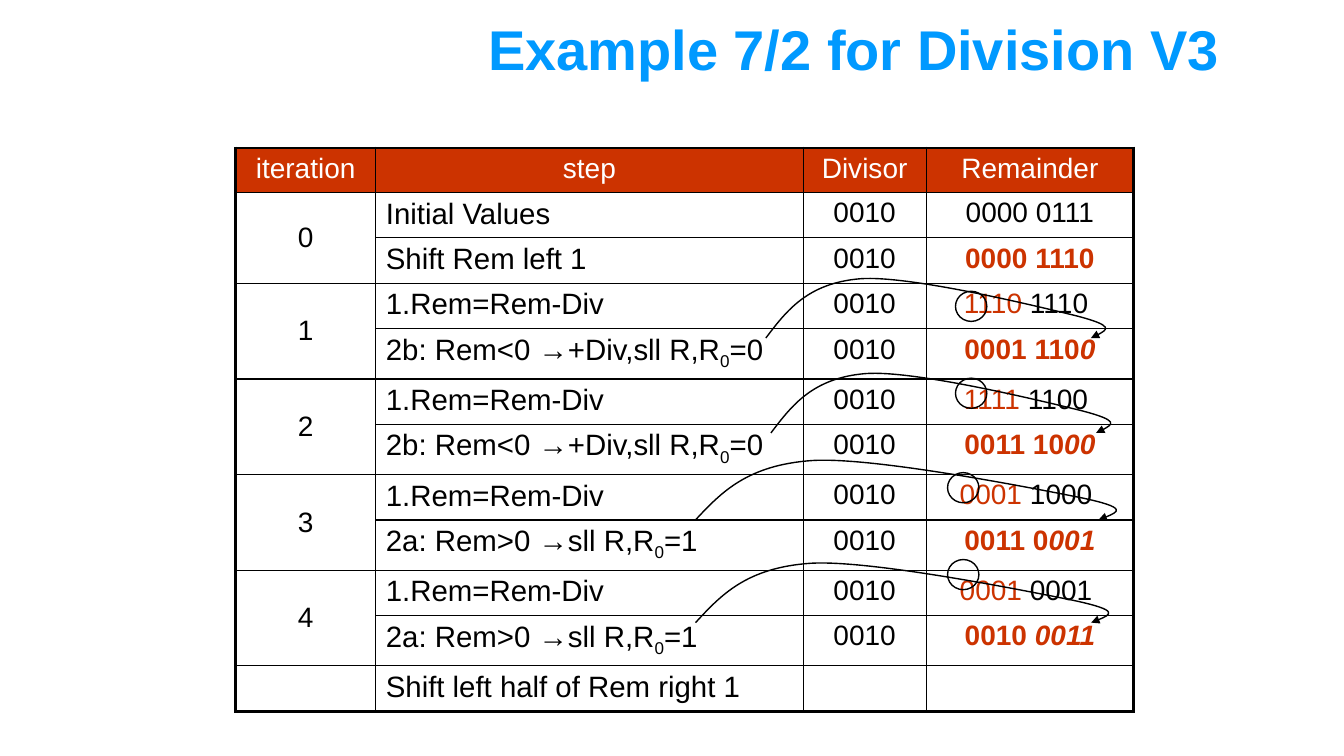
from lxml import etree
from pptx import Presentation
from pptx.dml.color import RGBColor
from pptx.enum.shapes import MSO_SHAPE
from pptx.enum.text import MSO_ANCHOR, PP_ALIGN
from pptx.oxml.ns import qn
from pptx.util import Cm, Pt

CENTER, LEFT = PP_ALIGN.CENTER, PP_ALIGN.LEFT
MIDDLE, TOP = MSO_ANCHOR.MIDDLE, MSO_ANCHOR.TOP
OVAL = MSO_SHAPE.OVAL

BLUE, RED, BLACK, WHITE = "0099FF", "CC3300", "000000", "FFFFFF"
PLAIN = {"color": BLACK}
LIGHT = {"color": WHITE}
CHANGED = {"color": RED}
RESULT = {"color": RED, "bold": True}
QUOTIENT = {"color": RED, "bold": True, "italic": True}
STEP = {"color": BLACK, "size": 21}
SUBSCRIPT = {**STEP, "baseline": -25000}

HEADINGS = ["iteration", "step", "Divisor", "Remainder"]
COLUMN_WIDTHS = [3.53, 10.77, 3.1, 5.23]
ROW_HEIGHTS = [1.12, 1.09, 1.07] + [1.12, 1.2] * 4 + [1.12]
DIVISOR = "0010"
RESTORE = ("2b: Rem<0 →+Div,sll R,R", "=0")
KEEP = ("2a: Rem>0 →sll R,R", "=1")
ITERATIONS = [
    (("1110", " 1110 "), RESTORE, ("0001 110", "0")),
    (("1111", " 1100 "), RESTORE, ("0011 10", "00")),
    (("0001 ", "1000 "), KEEP, ("0011 0", "001")),
    (("0001", " 0001 "), KEEP, ("0010 ", "0011")),
]
SIGN_BITS = [(24.08, 7.34), (24.08, 9.53), (23.88, 11.91), (23.88, 14.1)]
SHIFT_ARROWS = [(19.3, 6.93, 8.81), (19.43, 9.32, 8.81),
                (17.53, 11.51, 10.92), (17.53, 14.1, 10.72)]
ARROW_HEIGHT = 1.59
ARROW_CURVE = [(0, 1), (0.06, 0.56), (0.12, 0.13), (0.27, 0.06), (0.41, 0),
               (0.78, 0.5), (0.89, 0.65), (1, 0.81), (0.97, 0.9), (0.93, 1)]


def rgb(color):
    return RGBColor.from_string(color)


class SlideBuilder:
    font = "Arial"
    thin, thick = 1, 2.25

    def __init__(self, slide):
        self.slide = slide

    def add_runs(self, frame, runs, align=CENTER):
        paragraph = frame.paragraphs[0]
        paragraph.alignment = align
        for text, style in runs:
            run = paragraph.add_run()
            run.text = text
            run.font.name = self.font
            run.font.size = Pt(style.get("size", 20))
            run.font.bold = style.get("bold", False)
            run.font.italic = style.get("italic", False)
            run.font.color.rgb = rgb(style["color"])
            if "baseline" in style:
                run.font._element.set("baseline", str(style["baseline"]))

    def title(self, text, left, top, width, height):
        box = self.slide.shapes.add_textbox(Cm(left), Cm(top), Cm(width), Cm(height))
        box.text_frame.word_wrap = True
        box.text_frame.vertical_anchor = TOP
        self.add_runs(box.text_frame, [(text, {"color": BLUE, "size": 40, "bold": True})])

    def borders(self, cell, outer_sides):
        properties = cell._tc.get_or_add_tcPr()
        for side in "LRTB":
            width = self.thick if side in outer_sides else self.thin
            line = etree.SubElement(properties, qn(f"a:ln{side}"), w=str(Pt(width)))
            fill = etree.SubElement(line, qn("a:solidFill"))
            etree.SubElement(fill, qn("a:srgbClr"), val=BLACK)

    def table(self, rows, left, top, widths, heights):
        table = self.slide.shapes.add_table(
            len(heights), len(widths), Cm(left), Cm(top),
            Cm(sum(widths)), Cm(sum(heights))).table
        table.first_row = table.horz_banding = False
        for column, width in zip(table.columns, widths):
            column.width = Cm(width)
        for row, height in zip(table.rows, heights):
            row.height = Cm(height)
        last_row, last_column = len(heights) - 1, len(widths) - 1
        for r, row in enumerate(rows):
            for c, runs in enumerate(row):
                cell = table.cell(r, c)
                edges = {"L": c == 0, "R": c == last_column, "T": r == 0, "B": r == last_row}
                self.borders(cell, [side for side in edges if edges[side]])
                cell.fill.solid()
                cell.fill.fore_color.rgb = rgb(WHITE if r else RED)
                self.add_runs(cell.text_frame, runs, LEFT if r and c == 1 else CENTER)
        for r in range(1, last_row, 2):
            table.cell(r, 0).merge(table.cell(r + 1, 0))
            table.cell(r, 0).vertical_anchor = MIDDLE

    def outline(self, shape):
        shape.shadow.inherit = False
        shape.fill.background()
        shape.line.color.rgb = rgb(BLACK)
        shape.line.width = Pt(self.thin)

    def circle(self, left, top, width=0.79, height=0.76):
        self.outline(self.slide.shapes.add_shape(
            OVAL, Cm(left), Cm(top), Cm(width), Cm(height)))

    def curved_arrow(self, left, top, width, height):
        points = [(Cm(left + x * width), Cm(top + y * height)) for x, y in ARROW_CURVE]
        builder = self.slide.shapes.build_freeform(*points[0])
        builder.add_line_segments(points[1:], close=False)
        arrow = builder.convert_to_shape()
        self.outline(arrow)
        outline = next(arrow._element.iter(qn("a:path")))
        segments = outline.findall(qn("a:lnTo"))
        for start in range(0, len(segments), 3):
            curve = etree.SubElement(outline, qn("a:cubicBezTo"))
            for segment in segments[start:start + 3]:
                curve.append(segment[0])
                outline.remove(segment)
        etree.SubElement(arrow.line._get_or_add_ln(), qn("a:tailEnd"), type="triangle")


def division_rows():
    divisor = [(DIVISOR, PLAIN)]
    rows = [
        [[(heading, LIGHT)] for heading in HEADINGS],
        [[("0", PLAIN)], [("Initial Values", STEP)], divisor, [("0000 0111", PLAIN)]],
        [[], [("Shift Rem left 1", STEP)], divisor, [("0000 1110", RESULT)]],
    ]
    for number, (difference, (action, bit), shifted) in enumerate(ITERATIONS, 1):
        rows.append([[(str(number), PLAIN)], [("1.Rem=Rem-Div", STEP)], divisor,
                     list(zip(difference, (CHANGED, PLAIN)))])
        rows.append([[], [(action, STEP), ("0", SUBSCRIPT), (bit, STEP)], divisor,
                     list(zip(shifted, (RESULT, QUOTIENT)))])
    rows.append([[], [("Shift left half of Rem right 1", STEP)], [], []])
    return rows


def main():
    presentation = Presentation()
    presentation.slide_width, presentation.slide_height = Cm(33.87), Cm(19.05)
    builder = SlideBuilder(presentation.slides.add_slide(presentation.slide_layouts[6]))
    builder.title("Example 7/2 for Division V3", 10.59, 0.23, 21.84, 3.15)
    builder.table(division_rows(), 5.94, 3.73, COLUMN_WIDTHS, ROW_HEIGHTS)
    for sign_bit in SIGN_BITS:
        builder.circle(*sign_bit)
    for shift_arrow in SHIFT_ARROWS:
        builder.curved_arrow(*shift_arrow, ARROW_HEIGHT)
    presentation.save("out.pptx")


if __name__ == "__main__":
    main()
